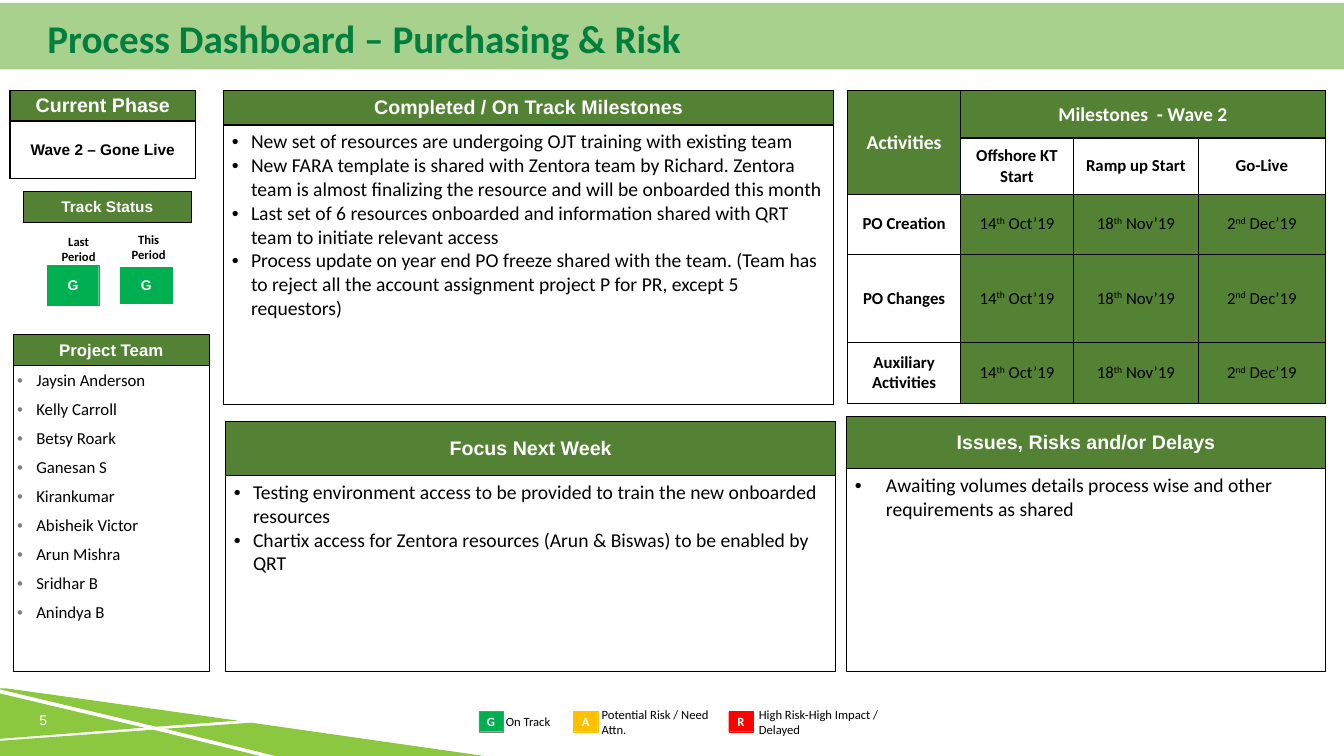
from dataclasses import dataclass
from typing import NamedTuple

from lxml.etree import SubElement
from pptx import Presentation
from pptx.dml.color import RGBColor
from pptx.enum.shapes import MSO_SHAPE
from pptx.enum.text import MSO_ANCHOR, MSO_AUTO_SIZE, PP_ALIGN
from pptx.oxml.ns import qn
from pptx.util import Emu, Inches, Pt

# Grid: 160 columns by 90 rows of square cells
UNIT = Inches(7.5) / 90
HEX = {"head": "548235", "band": "A9D18E", "title": "007F3E", "leaf": "8CC740",
       "good": "00B050", "warn": "FFC000", "bad": "FF0000", "gray": "808080",
       "white": "FFFFFF", "black": "000000"}


class Box(NamedTuple):
    x: float
    y: float
    w: float
    h: float


class Face(NamedTuple):
    size: float
    name: str = "Calibri"
    bold: bool = False
    ink: str = "black"


@dataclass
class Card:
    x: float
    y: float
    w: float
    rows: list[float]
    head: str
    size: float
    items: tuple[str, ...] = ()
    body: float = 14
    pad: float = 0.96
    hang: float = 2.28
    after: float = 0
    dot: str = "black"


@dataclass
class Chip:
    box: Box
    mark: str
    fill: str
    edge: str
    face: Face
    note: str
    spot: Box
    look: Face
    side: PP_ALIGN
    inset: float


def grid(n: float) -> Emu:
    return Emu(round(n * UNIT))


def place(box: Box) -> list[Emu]:
    return [grid(n) for n in box]


def color(name: str) -> RGBColor:
    return RGBColor.from_string(HEX[name])


def style(para, face: Face, align=PP_ALIGN.CENTER) -> None:
    para.alignment = align
    font = para.font
    font.size, font.name, font.bold = Pt(face.size), face.name, face.bold
    font.color.rgb = color(face.ink)


def inset(part, side: float, top: float) -> None:
    part.margin_left = part.margin_right = grid(side)
    part.margin_top = part.margin_bottom = grid(top)


def bullet(para, hang: float, dot: str) -> None:
    props = para._p.get_or_add_pPr()
    props.set("marL", str(grid(hang)))
    props.set("indent", str(-grid(hang)))
    tint = SubElement(props, qn("a:buClr"))
    SubElement(tint, qn("a:srgbClr"), val=HEX[dot])
    SubElement(props, qn("a:buFont"), typeface="Arial")
    SubElement(props, qn("a:buChar"), char="•")
    # Run defaults follow the bullet in schema order
    props.append(props.find(qn("a:defRPr")))


def border(cell, left=1.0, right=1.0, top=1.0, foot=1.0) -> None:
    props = cell._tc.get_or_add_tcPr()
    for tag, width in zip(("lnL", "lnR", "lnT", "lnB"), (left, right, top, foot)):
        line = SubElement(props, qn(f"a:{tag}"), w=str(Pt(width)))
        fill = SubElement(line, qn("a:solidFill"))
        SubElement(fill, qn("a:srgbClr"), val=HEX["black"])


def paint(cell, fill: str) -> None:
    cell.fill.solid()
    cell.fill.fore_color.rgb = color(fill)


def table(shapes, x: float, y: float, cols: list[float], rows: list[float]):
    box = Box(x, y, sum(cols), sum(rows))
    made = shapes.add_table(len(rows), len(cols), *place(box)).table
    made.first_row = made.horz_banding = False
    for col, width in zip(made.columns, cols):
        col.width = grid(width)
    for row, height in zip(made.rows, rows):
        row.height = grid(height)
    return made


def block(shapes, box: Box, fill: str, edge: str = ""):
    rect = shapes.add_shape(MSO_SHAPE.RECTANGLE, *place(box))
    rect.shadow.inherit = False
    rect.fill.solid()
    rect.fill.fore_color.rgb = color(fill)
    if edge:
        rect.line.color.rgb, rect.line.width = color(edge), Pt(0.25)
    else:
        rect.line.fill.background()
    return rect


def write(frame, text: str, face: Face, align=PP_ALIGN.CENTER, side: float = 0) -> None:
    frame.word_wrap, frame.vertical_anchor = True, MSO_ANCHOR.MIDDLE
    inset(frame, side, 0)
    frame.text = text
    style(frame.paragraphs[0], face, align)


def draw_card(shapes, card: Card) -> None:
    cells = [row.cells[0] for row in table(shapes, card.x, card.y, [card.w], card.rows).rows]
    for cell, fill in zip(cells, ("head", "white")):
        border(cell)
        paint(cell, fill)
    top = cells[0]
    inset(top, 0.48, 0.48)
    top.vertical_anchor = MSO_ANCHOR.MIDDLE
    top.text = card.head
    style(top.text_frame.paragraphs[0], Face(card.size, "Arial", True, "white"))
    if card.items:
        inset(cells[1], card.pad, 0.6)
        cells[1].text = "\n".join(card.items)
        for para in cells[1].text_frame.paragraphs:
            style(para, Face(card.body), PP_ALIGN.LEFT)
            para.space_after = Pt(card.after)
            bullet(para, card.hang, card.dot)
    elif len(cells) > 1:
        inset(cells[1], 0.48, 0.48)
        cells[1].vertical_anchor = MSO_ANCHOR.MIDDLE
        cells[1].text = "Wave 2 – Gone Live"
        style(cells[1].text_frame.paragraphs[0], Face(11, "Arial", True))


def draw_chip(shapes, chip: Chip) -> None:
    write(block(shapes, chip.box, chip.fill, chip.edge).text_frame, chip.mark, chip.face)
    note = shapes.add_textbox(*place(chip.spot))
    write(note.text_frame, chip.note, chip.look, chip.side, chip.inset)


def draw_plan(shapes) -> None:
    dates = [("14", "th", " Oct’19"), ("18", "th", " Nov’19"), ("2", "nd", " Dec’19")]
    texts = [["Activities", "Milestones\u00a0 - Wave 2", "", ""],
             ["", "Offshore KT Start", "Ramp up Start", "Go-Live"]]
    texts += [[name, *dates] for name in ("PO Creation", "PO Changes", "Auxiliary Activities")]
    plan = table(shapes, 100.92, 10.8, [13.44, 13.44, 14.88, 15.12],
                 [5.64, 6.72, 7.08, 10.56, 7.2])
    plan.cell(0, 0).merge(plan.cell(1, 0))
    plan.cell(0, 1).merge(plan.cell(0, 3))
    for r, line in enumerate(texts):
        for c, text in enumerate(line):
            cell, dated = plan.cell(r, c), isinstance(text, tuple)
            border(cell, 1 if c == 0 or (r, c) == (0, 1) else 0.5,
                   1 if c == 3 or r == 0 else 0.5,
                   1 if r < 2 or (r == 2 and c) else 0.5,
                   1 if r == 4 or (r < 2 and c) else 0.5)
            paint(cell, "head" if r == 0 or dated or (r, c) == (1, 0) else "white")
            inset(cell, 0.12, 0.06)
            cell.vertical_anchor = MSO_ANCHOR.MIDDLE
            if not text:
                continue
            para = cell.text_frame.paragraphs[0]
            for n, part in enumerate(text if dated else (text,)):
                run = para.add_run()
                run.text = part
                if n == 1:
                    run._r.get_or_add_rPr().set("baseline", "30000")
            style(para, Face(12 if r else 14, bold=not dated, ink="black" if r else "white"))


CARDS = [
    Card(26.64, 10.8, 72.6, [4.08, 33.24], "Completed / On Track Milestones", 14, (
        "New set of resources are undergoing OJT training with existing team",
        "New FARA template is shared with Zentora team by Richard. Zentora team is almost "
        "finalizing the resource and will be onboarded this month",
        "Last set of 6 resources onboarded and information shared with QRT team to initiate "
        "relevant access",
        "Process update on year end PO freeze shared with the team. (Team has to reject all "
        "the account assignment project P for PR, except 5 requestors)")),
    Card(100.8, 49.56, 57, [6.24, 24.12], "Issues, Risks and/or Delays", 14, (
        "Awaiting volumes details process wise and other requirements as shared",), hang=3.72),
    Card(2.76, 22.8, 20.04, [3.72], "Track Status", 11),
    Card(1.56, 39.84, 23.4, [3.72, 36.36], "Project Team", 12, (
        "Jaysin Anderson", "Kelly Carroll", "Betsy Roark", "Ganesan S", "Kirankumar",
        "Abisheik Victor", "Arun Mishra", "Sridhar B", "Anindya B"),
        body=12, pad=0.48, after=6, dot="gray"),
    Card(26.88, 50.16, 72.6, [6.48, 23.28], "Focus Next Week", 14, (
        "Testing environment access to be provided to train the new onboarded resources",
        "Chartix access for Zentora resources (Arun & Biswas) to be enabled by QRT")),
    Card(1.2, 10.8, 22.08, [3.6, 6.84], "Current Phase", 14),
]
KEYS = [("G", "good", "gray", 57, "On Track", 59.04, 8.28),
        ("A", "warn", "warn", 68.28, "Potential Risk / Need Attn.", 70.44, 16.2),
        ("R", "bad", "bad", 86.76, "High Risk-High Impact / Delayed", 89.16, 19.32)]
STATES = [("Last Period", Box(5.64, 31.56, 6.12, 4.8), Box(6, 27.24, 6.72, 4.8)),
          ("This Period", Box(14.28, 31.8, 6.24, 4.32), Box(15.12, 27, 5.16, 4.8))]
CHIPS = [Chip(Box(x, 84.72, 2.88, 2.4), mark, fill, edge, Face(9, bold=True, ink="white"),
              note, Box(left, 83.52, wide, 4.8), Face(9), PP_ALIGN.LEFT, 1.2)
         for mark, fill, edge, x, note, left, wide in KEYS]
CHIPS += [Chip(box, "G", "good", "good", Face(10, "Arial", True, "white"),
               note, spot, Face(9, bold=True), PP_ALIGN.CENTER, 0)
          for note, box, spot in STATES]
LEAVES = [[(18.24, 86.88), (0, 88.2), (0, 90), (30.96, 90)],
          [(29.88, 86.04), (19.68, 86.76), (32.76, 90), (57.6, 90)],
          [(0, 82.56), (0, 87.96), (17.16, 86.64)],
          [(0, 81.96), (0, 82.08), (18.6, 86.52), (28.32, 85.8), (0.84, 81.96)]]


def main() -> None:
    deck = Presentation()
    deck.slide_width, deck.slide_height = grid(160), grid(90)
    slide = deck.slides.add_slide(deck.slide_layouts[5])
    shapes = slide.shapes

    # Corner leaves and page number
    paths = [[(round(x * 100), round(y * 100)) for x, y in leaf] for leaf in LEAVES]
    pen = shapes.build_freeform(*paths[0][0], scale=UNIT / 100)
    for n, points in enumerate(paths):
        if n:
            pen.move_to(*points[0])
        pen.add_line_segments(points[1:], close=True)
    corner = pen.convert_to_shape()
    corner.shadow.inherit = False
    corner.fill.solid()
    corner.fill.fore_color.rgb = color("leaf")
    corner.line.fill.background()
    page = shapes.add_textbox(*place(Box(2.76, 84, 4.8, 3.36)))
    write(page.text_frame, "5", Face(10, "Arial", ink="white"))

    # Banner and title, with the title in front
    block(shapes, Box(0, 0.36, 160, 7.92), "band")
    title = shapes.title
    title.left, title.top, title.width, title.height = place(Box(5.64, 2.04, 148.68, 5.64))
    write(title.text_frame, "Process Dashboard – Purchasing & Risk",
          Face(28, bold=True, ink="title"), PP_ALIGN.LEFT)
    title.text_frame.auto_size = MSO_AUTO_SIZE.NONE
    title.text_frame.paragraphs[0].line_spacing = 0.9
    shapes._spTree.append(title._element)

    # Panels, plan, status and legend
    for card in CARDS:
        draw_card(shapes, card)
    draw_plan(shapes)
    for chip in CHIPS:
        draw_chip(shapes, chip)
    deck.save("out.pptx")


if __name__ == "__main__":
    main()
